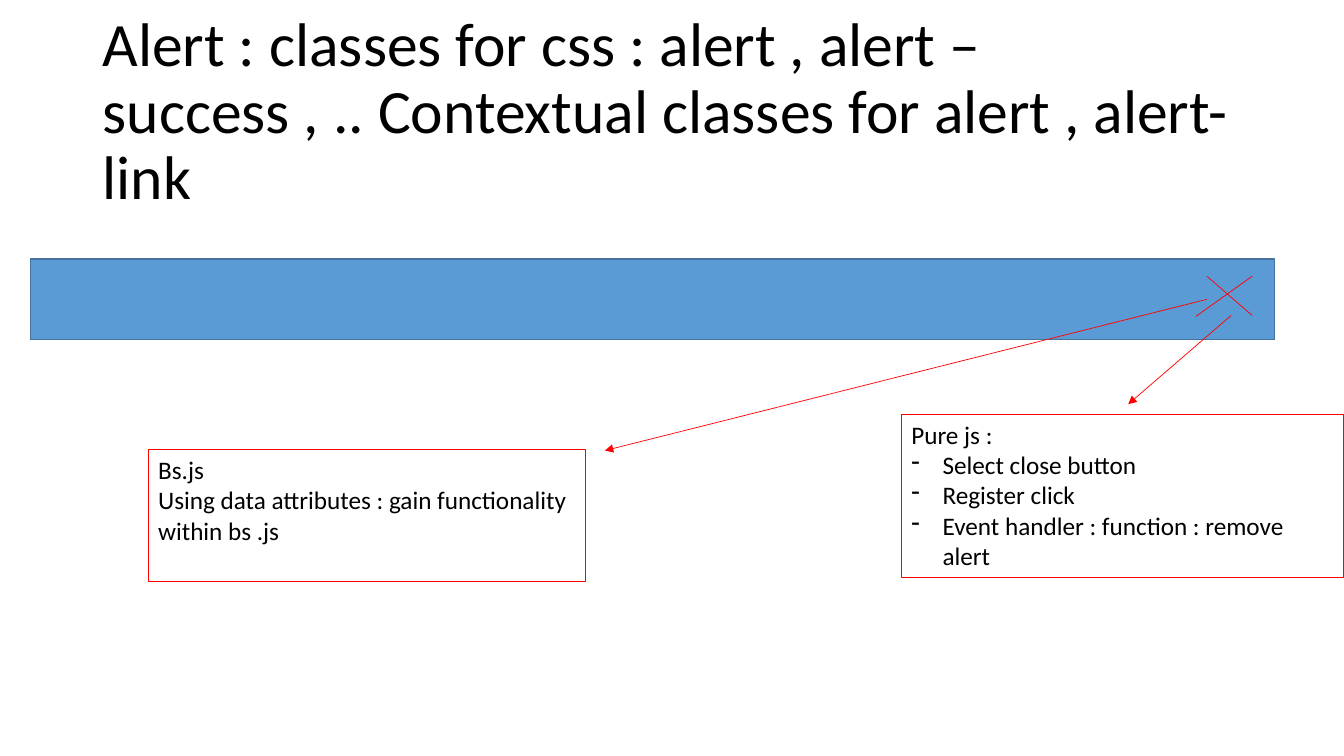
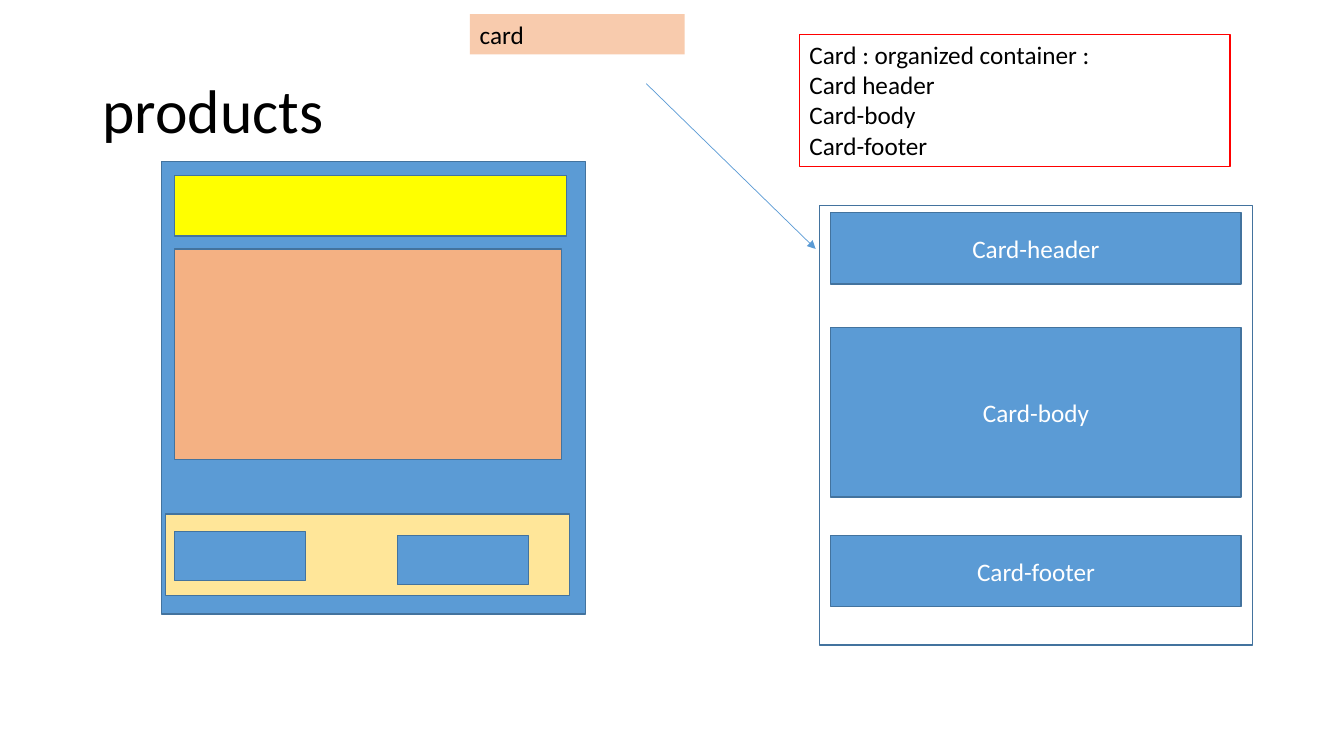
from dataclasses import dataclass

from lxml.etree import SubElement
from pptx import Presentation
from pptx.dml.color import RGBColor
from pptx.enum.shapes import MSO_CONNECTOR, MSO_SHAPE
from pptx.enum.text import MSO_ANCHOR, PP_ALIGN
from pptx.oxml.ns import qn
from pptx.util import Inches, Pt


@dataclass(frozen=True)
class Theme:
    font: str = "Calibri"
    title_size: int = 44
    body_size: int = 18
    black: str = "000000"
    white: str = "FFFFFF"
    blue: str = "5B9BD5"
    edge: str = "43739E"
    red: str = "FF0000"
    yellow: str = "FFFF00"
    orange: str = "F4B183"
    cream: str = "FFE699"
    peach: str = "F8CBAD"
    edge_width: float = 1
    note_width: float = 0.75
    line_width: float = 0.5


T = Theme()
TITLE_BOX = (0.92, 0.4, 11.5, 1.45)

# Alert slide
ALERT_TITLE = ("Alert : classes for css : alert , alert – success , .. "
               "Contextual classes for alert , alert-link")
ALERT_BAR = (0.3, 2.57, 12.34, 0.8)
CLOSE_CROSS = [((12.42, 2.74), (11.86, 3.14)), ((11.97, 2.74), (12.42, 3.13))]
ALERT_ARROWS = [((12.21, 3.13), (11.19, 4.01)), ((11.97, 2.97), (6, 4.47))]
ALERT_NOTES = [
    ((8.94, 4.11, 4.39, 1.62), ["Pure js :"],
     ["Select close button", "Register click",
      "Event handler : function : remove alert"]),
    ((1.47, 4.46, 4.34, 1.31),
     ["Bs.js", "Using data attributes : gain functionality within bs .js"], []),
]

# Card slide
CARD_TITLE = "products"
PRODUCT_PARTS = [
    ((1.6, 1.6, 4.21, 4.49), T.blue),
    ((1.73, 1.74, 3.89, 0.6), T.yellow),
    ((1.73, 2.47, 3.84, 2.09), T.orange),
    ((1.64, 5.1, 4.01, 0.81), T.cream),
    ((1.73, 5.27, 1.3, 0.49), T.blue),
    ((3.94, 5.31, 1.3, 0.49), T.blue),
]
CARD_NOTE = ((7.93, 0.34, 4.27, 1.31),
             ["Card : organized container :", "Card header", "Card-body",
              "Card-footer"])
CARD_FRAME = (8.13, 2.04, 4.29, 4.36)
CARD_LABEL = ((4.66, 0.14, 2.13, 0.4), "card")
CARD_ARROW = ((6.41, 0.83), (8.09, 2.47))
CARD_LEFT, CARD_WIDTH = 8.24, 4.07
CARD_SECTIONS = [("Card-header", 2.11, 0.71), ("Card-body", 3.25, 1.68),
                 ("Card-footer", 5.31, 0.71)]


def rgb(value):
    return RGBColor.from_string(value)


def add_dash(p):
    """Give a paragraph a hanging dash bullet."""
    pPr = p._p.get_or_add_pPr()
    pPr.set("marL", str(Inches(0.31)))
    pPr.set("indent", str(-Inches(0.31)))
    SubElement(pPr, qn("a:buFontTx"))
    SubElement(pPr, qn("a:buChar"), char="-")


def write(sp, lines, dashes=(), size=T.body_size, color=T.black,
          anchor=MSO_ANCHOR.TOP, **paragraph_format):
    tf = sp.text_frame
    tf.word_wrap = True
    tf.vertical_anchor = anchor
    paragraph_format = {"alignment": PP_ALIGN.LEFT, **paragraph_format}
    for i, line in enumerate([*lines, *dashes]):
        p = tf.paragraphs[0] if i == 0 else tf.add_paragraph()
        for name, value in paragraph_format.items():
            setattr(p, name, value)
        if i >= len(lines):
            add_dash(p)
        r = p.add_run()
        r.text = line
        for name, value in {"name": T.font, "size": Pt(size)}.items():
            setattr(r.font, name, value)
        r.font.color.rgb = rgb(color)


def add_rect(s, box, fill=None, line=T.edge, width=T.edge_width):
    sp = s.shapes.add_shape(MSO_SHAPE.RECTANGLE, *map(Inches, box))
    sp.shadow.inherit = False
    if fill:
        sp.fill.solid()
        sp.fill.fore_color.rgb = rgb(fill)
    else:
        sp.fill.background()
    if line:
        sp.line.color.rgb = rgb(line)
        sp.line.width = Pt(width)
    else:
        sp.line.fill.background()
    return sp


def add_note(s, box, lines, dashes=()):
    write(add_rect(s, box, line=T.red, width=T.note_width), lines, dashes)


def add_line(shapes, start, end, color=T.red, arrow=False):
    cxn = shapes.add_connector(MSO_CONNECTOR.STRAIGHT,
                               *map(Inches, (*start, *end)))
    cxn.line.color.rgb = rgb(color)
    cxn.line.width = Pt(T.line_width)
    if arrow:
        SubElement(cxn.line._get_or_add_ln(), qn("a:tailEnd"), type="triangle")
    SubElement(cxn._element.spPr, qn("a:effectLst"))


def new_slide(prs, title):
    s = prs.slides.add_slide(prs.slide_layouts[6])
    write(s.shapes.add_textbox(*map(Inches, TITLE_BOX)), [title],
          size=T.title_size, anchor=MSO_ANCHOR.MIDDLE, line_spacing=0.9)
    return s


def build_alert(prs):
    s = new_slide(prs, ALERT_TITLE)
    add_rect(s, ALERT_BAR, T.blue)
    cross = s.shapes.add_group_shape()
    for start, end in CLOSE_CROSS:
        add_line(cross.shapes, start, end)
    for start, end in ALERT_ARROWS:
        add_line(s.shapes, start, end, arrow=True)
    for box, lines, dashes in ALERT_NOTES:
        add_note(s, box, lines, dashes)


def build_card(prs):
    s = new_slide(prs, CARD_TITLE)
    for box, fill in PRODUCT_PARTS:
        add_rect(s, box, fill)
    add_note(s, *CARD_NOTE)
    add_rect(s, CARD_FRAME)
    add_line(s.shapes, *CARD_ARROW, color=T.blue, arrow=True)
    box, label = CARD_LABEL
    write(add_rect(s, box, T.peach, line=None), [label])
    for name, top, height in CARD_SECTIONS:
        sp = add_rect(s, (CARD_LEFT, top, CARD_WIDTH, height), T.blue)
        write(sp, [name], color=T.white, anchor=MSO_ANCHOR.MIDDLE,
              alignment=PP_ALIGN.CENTER)


def main():
    prs = Presentation()
    prs.slide_width, prs.slide_height = Inches(13.33), Inches(7.5)
    build_alert(prs)
    build_card(prs)
    prs.save("out.pptx")


if __name__ == "__main__":
    main()
